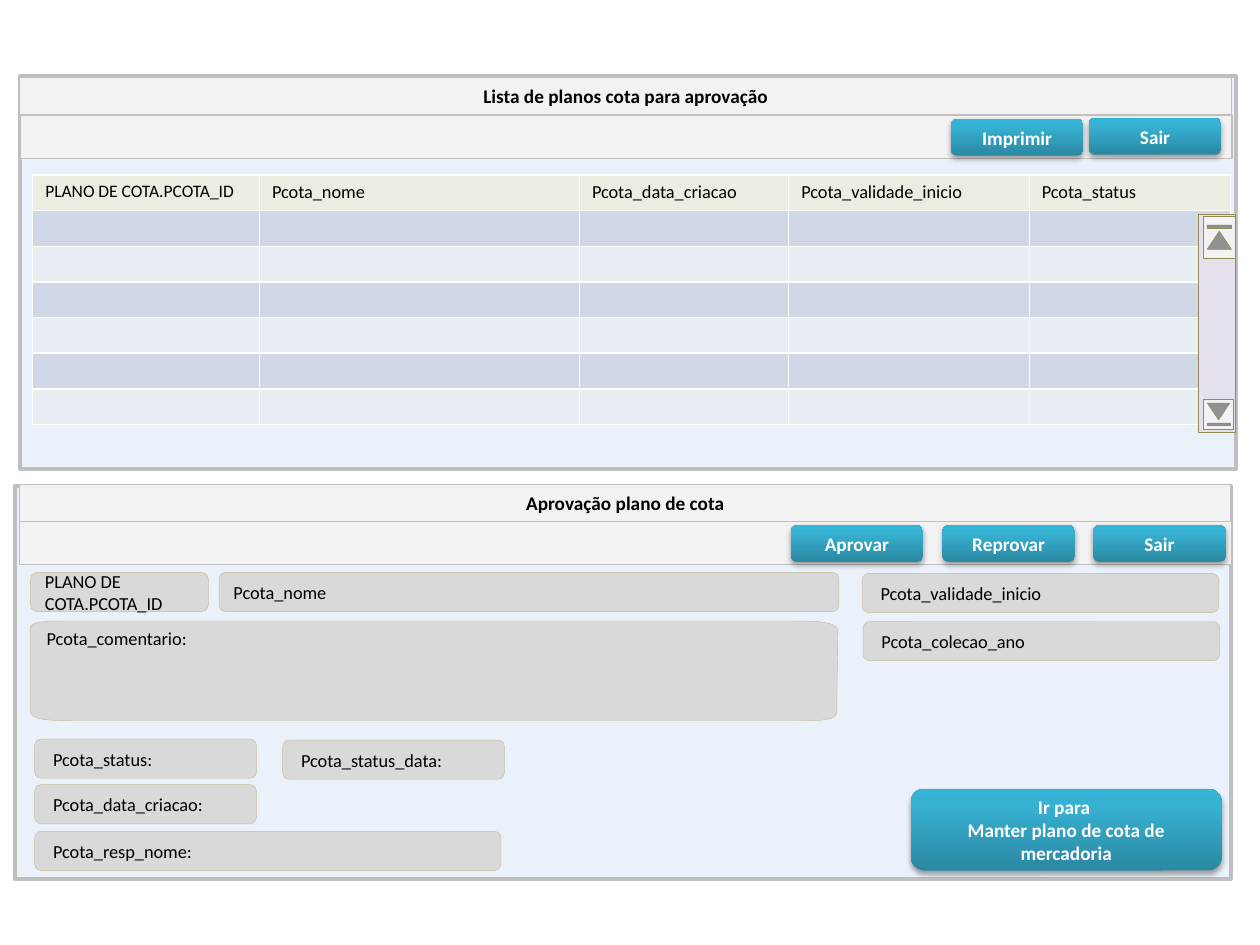
from copy import deepcopy
from dataclasses import dataclass

from lxml.etree import SubElement
from pptx import Presentation
from pptx.dml.color import RGBColor
from pptx.enum.shapes import MSO_SHAPE
from pptx.enum.text import MSO_ANCHOR, PP_ALIGN
from pptx.oxml.ns import qn
from pptx.util import Cm, Pt

FONT = "Calibri"
HUES = {
    "black": "000000", "white": "FFFFFF", "panel": "EAF1FA", "bar": "F2F2F2",
    "edge": "BFBFBF", "field": "D9D9D9", "tan": "C4BD97", "olive": "948A54",
    "track": "E6E0EC", "head": "EEECE1", "odd": "D0D8E8", "even": "E9EDF4",
    "deep": "2A88A2", "mid": "37B1D2", "light": "34B4D6",
}


@dataclass
class Box:
    x: float
    y: float
    w: float
    h: float
    text: str = ""


def hue(name: str) -> RGBColor:
    return RGBColor.from_string(HUES[name])


def paint(shape, fill: str, line: str, width: float) -> None:
    shape.shadow.inherit = False
    shape.fill.solid()
    shape.fill.fore_color.rgb = hue(fill)
    shape.line.color.rgb = hue(line)
    shape.line.width = Pt(width)


def place(shapes, kind: MSO_SHAPE, box: Box):
    return shapes.add_shape(kind, Cm(box.x), Cm(box.y), Cm(box.w), Cm(box.h))


def style(font, size: float, color: str, bold: bool) -> None:
    font.name, font.size, font.bold = FONT, Pt(size), bold
    font.color.rgb = hue(color)


def write(shape, text: str, size: float, color: str = "black", bold: bool = False,
          align: PP_ALIGN = PP_ALIGN.LEFT, anchor: MSO_ANCHOR = MSO_ANCHOR.MIDDLE) -> None:
    frame = shape.text_frame
    frame.word_wrap = True
    frame.vertical_anchor = anchor
    frame.text = text
    for para in frame.paragraphs:
        para.alignment = align
        style(para.font, size, color, bold)


def add_panel(shapes, back: Box, title: Box, tools: Box) -> None:
    paint(place(shapes, MSO_SHAPE.RECTANGLE, back), "panel", "edge", 2.25)
    for box in (title, tools):
        bar = place(shapes, MSO_SHAPE.RECTANGLE, box)
        paint(bar, "bar", "edge", 0.75)
        if box.text:
            write(bar, box.text, 11, bold=True, align=PP_ALIGN.CENTER)


def add_field(shapes, box: Box) -> None:
    field = place(shapes, MSO_SHAPE.ROUNDED_RECTANGLE, box)
    paint(field, "field", "tan", 0.25)
    write(field, box.text, 10.5)


def add_button(shapes, box: Box) -> None:
    button = place(shapes, MSO_SHAPE.ROUNDED_RECTANGLE, box)
    button.line.fill.background()
    button.fill.gradient()
    button.fill.gradient_angle = 90
    props = button._element.spPr
    stops = props.find(".//" + qn("a:gsLst"))
    stops.append(deepcopy(stops[-1]))
    for stop, (spot, name) in zip(button.fill.gradient_stops,
                                  ((0, "deep"), (0.8, "mid"), (1, "light"))):
        stop.position = spot
        stop.color.rgb = hue(name)
    # Soft shadow below
    button.shadow.inherit = False
    shade = SubElement(props.find(qn("a:effectLst")), qn("a:outerShdw"),
                       blurRad=str(Pt(3.1)), dist=str(Pt(1.8)), dir="5400000", rotWithShape="0")
    tint = SubElement(shade, qn("a:srgbClr"), val=HUES["black"])
    SubElement(tint, qn("a:alpha"), val="35000")
    write(button, box.text, 11, "white", True, PP_ALIGN.CENTER)


def curve(points: list, steps: int = 12) -> list:
    a, b, c, d = points
    return [tuple((1 - t) ** 3 * a[i] + 3 * (1 - t) ** 2 * t * b[i]
                  + 3 * (1 - t) * t ** 2 * c[i] + t ** 3 * d[i] for i in (0, 1))
            for t in (n / steps for n in range(steps + 1))]


def add_note(shapes, text: str) -> None:
    bends = [
        [(0.61, 12.67), (0.61, 12.5), (1.04, 12.52), (1.6, 12.52)],
        [(15.9, 12.52), (16.46, 12.52), (16.89, 12.52), (16.89, 12.73)],
        [(16.89, 12.73), (16.89, 13.21), (16.87, 13.87), (16.87, 14.35)],
        [(16.87, 14.35), (16.87, 14.55), (16.46, 14.53), (15.9, 14.53)],
        [(1.6, 14.53), (1.04, 14.53), (0.61, 14.53), (0.61, 14.33)],
    ]
    spots = [(Cm(x), Cm(y)) for bend in bends for x, y in curve(bend)]
    pen = shapes.build_freeform(*spots[0])
    pen.add_line_segments(spots[1:], close=True)
    note = pen.convert_to_shape()
    paint(note, "field", "tan", 0.25)
    write(note, text, 10.5, anchor=MSO_ANCHOR.TOP)


def add_grid(shapes, box: Box, heads: list, rows: int) -> None:
    grid = shapes.add_table(rows, len(heads), Cm(box.x), Cm(box.y), Cm(box.w), Cm(box.h)).table
    for col, (_, width, _) in zip(grid.columns, heads):
        col.width = Cm(width)
    for r, row in enumerate(grid.rows):
        row.height = Cm(box.h / rows)
        for cell, (text, _, size) in zip(row.cells, heads):
            cell.fill.solid()
            cell.fill.fore_color.rgb = hue("head" if r == 0 else "odd" if r % 2 else "even")
            para = cell.text_frame.paragraphs[0]
            if r == 0:
                # The table style outranks paragraph fonts
                run = para.add_run()
                run.text = text
                style(run.font, size, "black", False)
            else:
                para._p.get_or_add_endParaRPr().set("sz", "1050")


deck = Presentation()
deck.slide_width, deck.slide_height = Cm(25.4), Cm(19.05)
shapes = deck.slides.add_slide(deck.slide_layouts[6]).shapes

# List panel with its table
add_panel(shapes, Box(0.41, 1.53, 24.51, 7.92),
          Box(0.4, 1.57, 24.43, 0.74, "Lista de planos cota para aprovação"),
          Box(0.41, 2.33, 24.43, 0.86))
add_grid(shapes, Box(0.66, 3.53, 24.15, 5.03), [
    ("PLANO DE COTA.PCOTA_ID", 4.57, 10),
    ("Pcota_nome", 6.45, 10.5),
    ("Pcota_data_criacao", 4.22, 10.5),
    ("Pcota_validade_inicio", 4.85, 10.5),
    ("Pcota_status", 4.06, 10.5),
], 7)

# Approval panel
add_panel(shapes, Box(0.3, 9.8, 24.51, 7.92),
          Box(0.39, 9.77, 24.43, 0.74, "Aprovação plano de cota"),
          Box(0.4, 10.52, 24.43, 0.86))

# Form fields
add_note(shapes, " Pcota_comentario:")
for x, y, wide, text in (
    (17.38, 11.56, 7.19, " Pcota_validade_inicio"),
    (17.4, 12.53, 7.19, " Pcota_colecao_ano"),
    (0.62, 11.54, 3.58, "PLANO DE COTA.PCOTA_ID"),
    (4.42, 11.54, 12.49, "Pcota_nome"),
    (0.7, 15.82, 4.47, " Pcota_data_criacao:"),
    (0.7, 14.9, 4.47, " Pcota_status:"),
    (0.7, 16.76, 9.4, " Pcota_resp_nome:"),
    (5.7, 14.92, 4.47, " Pcota_status_data:"),
):
    add_field(shapes, Box(x, y, wide, 0.79, text))

# Scroll bar
scroll = shapes.add_group_shape().shapes
paint(place(scroll, MSO_SHAPE.RECTANGLE, Box(24.16, 4.32, 0.74, 4.39)), "track", "olive", 0.25)
for box, turn in ((Box(24.16, 4.45, 0.84, 0.66), 270), (Box(24.26, 8.05, 0.61, 0.61), 90)):
    arrow = place(scroll, MSO_SHAPE.ACTION_BUTTON_END, box)
    arrow.rotation = turn
    paint(arrow, "bar", "olive", 0.25)

# Buttons
for x, y, text in (
    (21.95, 2.38, "Sair"), (19.17, 2.4, "Imprimir"),
    (19, 10.59, "Reprovar"), (15.94, 10.59, "Aprovar"), (22.04, 10.59, "Sair"),
):
    add_button(shapes, Box(x, y, 2.67, 0.74, text))
add_button(shapes, Box(18.36, 15.9, 6.27, 1.65, "Ir para \nManter plano de cota de mercadoria"))

deck.save("out.pptx")
